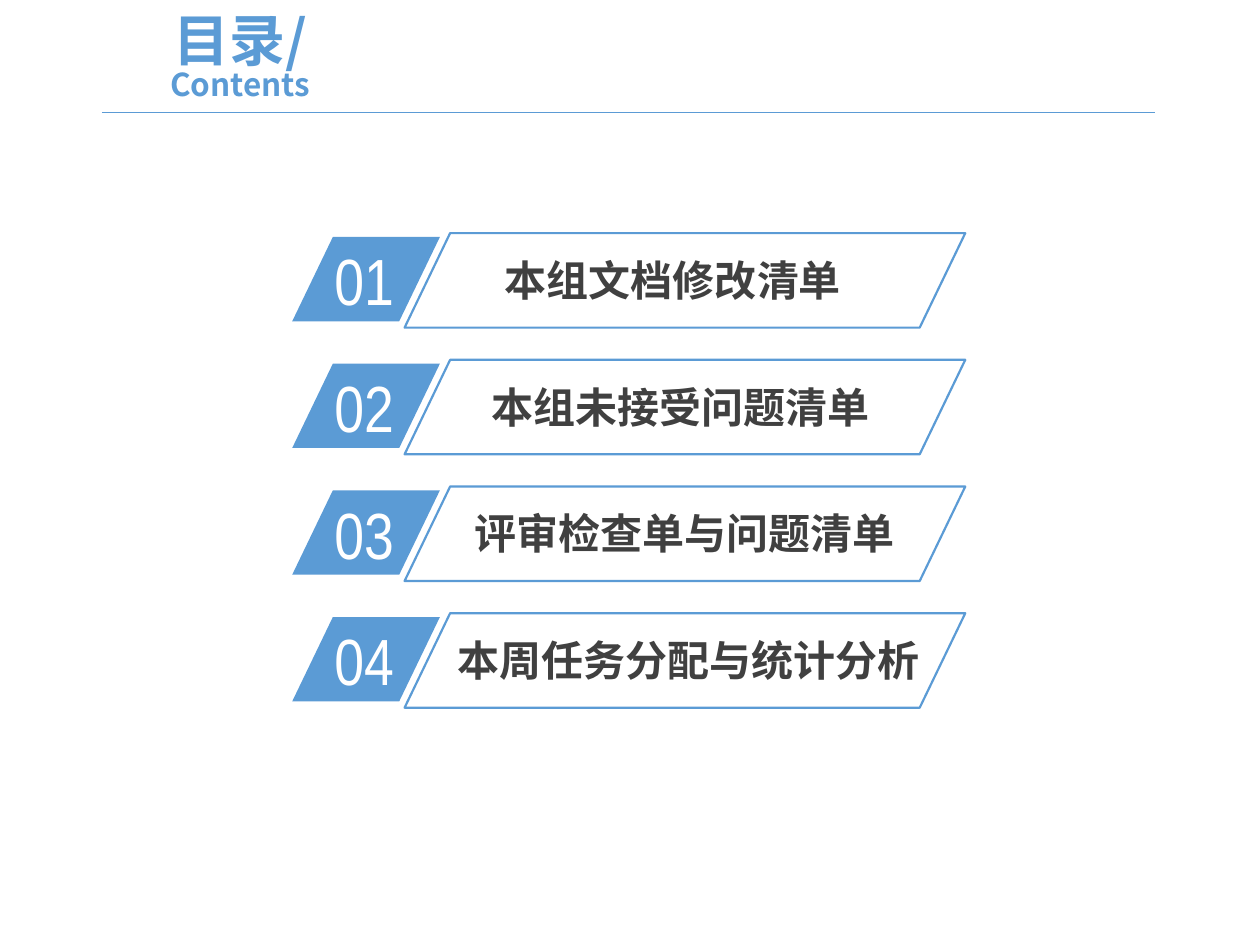
import pptx
import pptx.dml.color
import pptx.enum.shapes
import pptx.enum.text
import pptx.oxml.ns
import pptx.util
from lxml import etree

Pt = pptx.util.Pt
BLUE = pptx.dml.color.RGBColor(0x5B, 0x9B, 0xD5)
DARK = pptx.dml.color.RGBColor(0x40, 0x40, 0x40)
WHITE = pptx.dml.color.RGBColor(0xFF, 0xFF, 0xFF)
CJK_FONT = "Noto Sans CJK SC"
NUMBER_FONT = "Arial Narrow"
SLANT = 0.482
ROW_PITCH = 72.4
ENTRIES = [
    ("本组文档修改清单", 281.5, 236),
    ("本组未接受问题清单", 273.6, 236),
    ("评审检查单与问题清单", 264.2, 261),
    ("本周任务分配与统计分析", 254.2, 282),
]


def add_span(para, text, *, size, color, font=CJK_FONT, bold=False):
    """Append a formatted run of text to a paragraph."""
    span = para.add_run()
    span.text = text
    span.font.size = Pt(size)
    span.font.bold = bold
    span.font.name = font
    span.font.color.rgb = color
    east_asian = etree.SubElement(span.font._element, pptx.oxml.ns.qn("a:ea"))
    east_asian.set("typeface", font)


def add_text(shapes, left, top, width, height, text, **style):
    """Place a single-line text box."""
    box = shapes.add_textbox(Pt(left), Pt(top), Pt(width), Pt(height))
    box.text_frame.word_wrap = True
    add_span(box.text_frame.paragraphs[0], text, **style)


def add_parallelogram(shapes, left, top, width, height):
    """Place a slanted box without a shadow."""
    shape = shapes.add_shape(
        pptx.enum.shapes.MSO_SHAPE.PARALLELOGRAM,
        Pt(left), Pt(top), Pt(width), Pt(height))
    shape.adjustments[0] = SLANT
    shape.shadow.inherit = False
    return shape


def add_header(page, left, top, width):
    """Fill the title placeholder and draw the rule beneath it."""
    title = page.shapes.title
    title.left, title.top = Pt(left), Pt(top)
    title.width, title.height = Pt(178), Pt(39)
    frame = title.text_frame
    frame.auto_size = pptx.enum.text.MSO_AUTO_SIZE.NONE
    frame.vertical_anchor = pptx.enum.text.MSO_ANCHOR.MIDDLE
    para = frame.paragraphs[0]
    para.alignment = pptx.enum.text.PP_ALIGN.CENTER
    para.space_before = Pt(6.4)
    para.line_spacing = 0.8
    add_span(para, "目录/", size=32, color=BLUE, bold=True)
    para.add_line_break()
    add_span(para, "Contents", size=18, color=BLUE, bold=True)

    rule_left, rule_top = left + 10, top + 49
    rule = page.shapes.add_connector(
        pptx.enum.shapes.MSO_CONNECTOR.STRAIGHT,
        Pt(rule_left), Pt(rule_top), Pt(rule_left + width), Pt(rule_top))
    rule.line.color.rgb = BLUE
    rule.line.width = Pt(0.5)
    etree.SubElement(rule._element.spPr, pptx.oxml.ns.qn("a:effectLst"))


def add_entry(page, left, top, number, label, label_left, label_width):
    """Place one contents row as a group: number tab, label and outline."""
    shapes = page.shapes.add_group_shape().shapes
    tab = add_parallelogram(shapes, left, top + 2.2, 84.4, 48.2)
    tab.fill.solid()
    tab.fill.fore_color.rgb = BLUE
    tab.line.fill.background()
    add_text(shapes, left + 17, top + 0.7, 80.6, 52.6, number,
             size=37.3, color=WHITE, font=NUMBER_FONT)
    add_text(shapes, label_left, top + 8.6, label_width, 36, label,
             size=24, color=DARK, bold=True)
    outline = add_parallelogram(shapes, left + 64.2, top, 320.4, 54)
    outline.fill.background()
    outline.line.color.rgb = BLUE
    outline.line.width = Pt(1.25)


def main():
    """Build and save the contents slide."""
    deck = pptx.Presentation()
    deck.slide_width, deck.slide_height = Pt(720), Pt(540)
    page = deck.slides.add_slide(deck.slide_layouts.get_by_name("Title Only"))
    add_header(page, left=48.3, top=15.1, width=602)
    for index, (label, label_left, label_width) in enumerate(ENTRIES):
        add_entry(page, 167, 133.2 + index * ROW_PITCH, f"{index + 1:02}",
                  label, label_left, label_width)
    deck.save("out.pptx")


if __name__ == "__main__":
    main()
